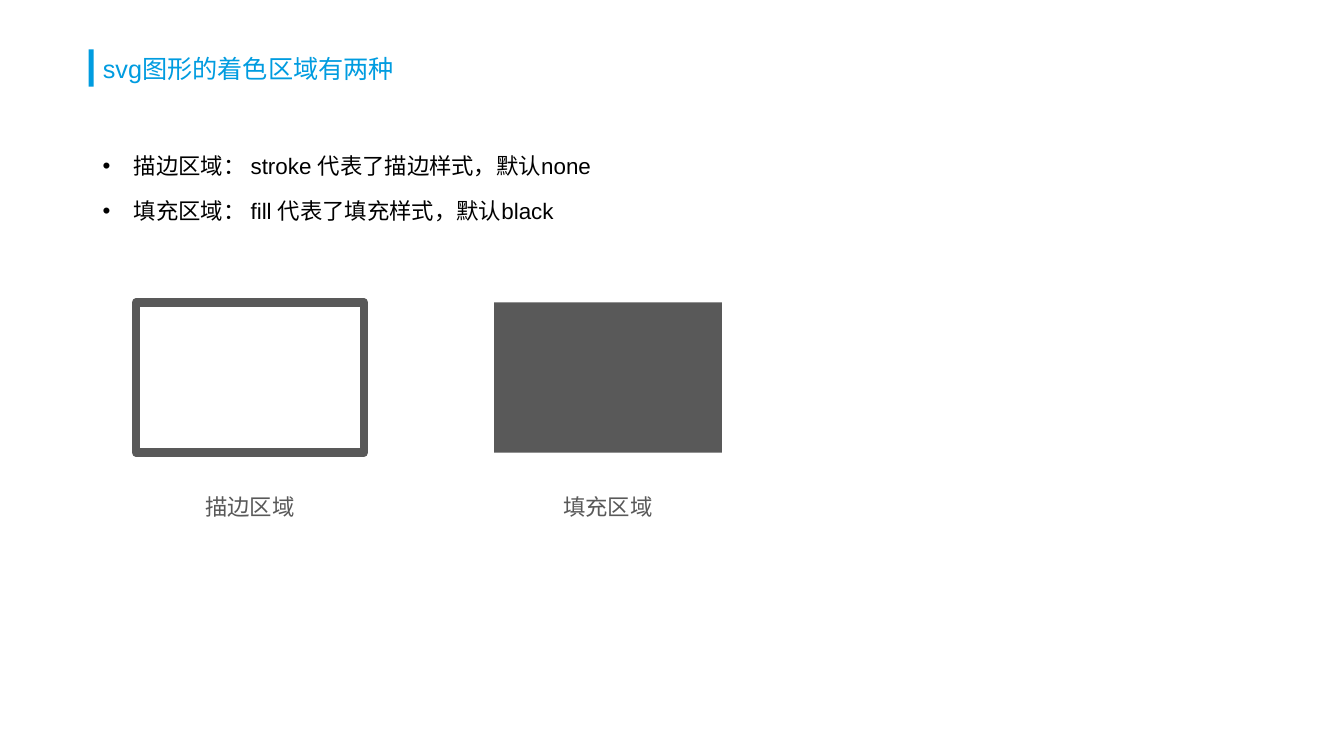
from dataclasses import dataclass

import pptx
import pptx.dml.color
import pptx.enum.shapes
import pptx.enum.text
import pptx.oxml
import pptx.oxml.ns
import pptx.util
from pptx.util import Inches


@dataclass(frozen=True)
class Theme:
    accent: str = "009CE0"
    body: str = "000000"
    grey: str = "595959"
    latin: str = "Arial"
    asian: str = "Noto Sans CJK SC"
    title_size: int = 18
    body_size: int = 16
    outline: int = 6


def rgb(value):
    return pptx.dml.color.RGBColor.from_string(value)


def write(para, text, size, color, latin, asian, spacing=None, before=None, align="LEFT"):
    para.alignment = getattr(pptx.enum.text.PP_ALIGN, align)
    if spacing is not None:
        para.line_spacing = spacing
    if before is not None:
        para.space_before = pptx.util.Pt(before)
    span = para.add_run()
    span.text = text
    span.font.size = pptx.util.Pt(size)
    span.font.color.rgb = rgb(color)
    span.font.name = latin
    east = pptx.oxml.parse_xml(
        f'<a:ea {pptx.oxml.ns.nsdecls("a")} typeface="{asian}"/>')
    span.font._element.append(east)


class SlideBuilder:
    def __init__(self, page, theme):
        self.page = page
        self.theme = theme

    def title(self, text, left, top, width, height):
        box = self.page.shapes.title
        box.left, box.top, box.width, box.height = left, top, width, height
        frame = box.text_frame
        frame.word_wrap = True
        frame.auto_size = pptx.enum.text.MSO_AUTO_SIZE.NONE
        frame.vertical_anchor = pptx.enum.text.MSO_ANCHOR.MIDDLE
        write(frame.paragraphs[0], text, self.theme.title_size, self.theme.accent,
              self.theme.latin, self.theme.asian, spacing=0.9, before=0)

    def rectangle(self, left, top, width, height, fill=None, line=None):
        shape = self.page.shapes.add_shape(
            pptx.enum.shapes.MSO_SHAPE.RECTANGLE, left, top, width, height)
        shape.shadow.inherit = False
        if fill:
            shape.fill.solid()
            shape.fill.fore_color.rgb = rgb(fill)
        else:
            shape.fill.background()
        if line:
            shape.line.color.rgb = rgb(line)
            shape.line.width = pptx.util.Pt(self.theme.outline)
        else:
            shape.line.fill.background()

    def bullets(self, items, left, top, width, height):
        frame = self.page.shapes.add_textbox(left, top, width, height).text_frame
        frame.word_wrap = True
        for index, text in enumerate(items):
            para = frame.add_paragraph() if index else frame.paragraphs[0]
            write(para, text, self.theme.body_size, self.theme.body,
                  self.theme.latin, self.theme.asian, spacing=1.5, before=3.2)
            properties = para._p.get_or_add_pPr()
            properties.set("marL", str(Inches(0.31)))
            properties.set("indent", str(Inches(-0.31)))
            for tag in (f'buFont {pptx.oxml.ns.nsdecls("a")} typeface="{self.theme.latin}"',
                        f'buChar {pptx.oxml.ns.nsdecls("a")} char="•"'):
                properties.append(pptx.oxml.parse_xml(f"<a:{tag}/>"))

    def caption(self, text, left, top, width, height):
        frame = self.page.shapes.add_textbox(left, top, width, height).text_frame
        frame.word_wrap = False
        frame.auto_size = pptx.enum.text.MSO_AUTO_SIZE.SHAPE_TO_FIT_TEXT
        write(frame.paragraphs[0], text, self.theme.body_size, self.theme.grey,
              self.theme.asian, self.theme.asian, align="CENTER")


deck = pptx.Presentation()
deck.slide_width, deck.slide_height = Inches(13.33), Inches(7.5)
theme = Theme()
builder = SlideBuilder(deck.slides.add_slide(deck.slide_layouts[5]), theme)

builder.rectangle(Inches(0.88), Inches(0.49), Inches(0.05), Inches(0.37), fill=theme.accent)
builder.title("svg图形的着色区域有两种", Inches(0.92), Inches(0.4), Inches(11.5), Inches(0.59))
builder.bullets(
    ["描边区域： stroke 代表了描边样式，默认none",
     "填充区域： fill 代表了填充样式，默认black"],
    Inches(0.92), Inches(1.33), Inches(11.5), Inches(5.43))

sample_width, caption_width = Inches(2.26), Inches(1.1)
samples = [("描边区域", {"line": theme.grey}), ("填充区域", {"fill": theme.grey})]
for index, (label, paint) in enumerate(samples):
    left = Inches(1.35 + 3.55 * index)
    builder.rectangle(left, Inches(3), sample_width, Inches(1.49), **paint)
    builder.caption(label, left + (sample_width - caption_width) // 2,
                    Inches(4.84), caption_width, Inches(0.37))

deck.save("out.pptx")
